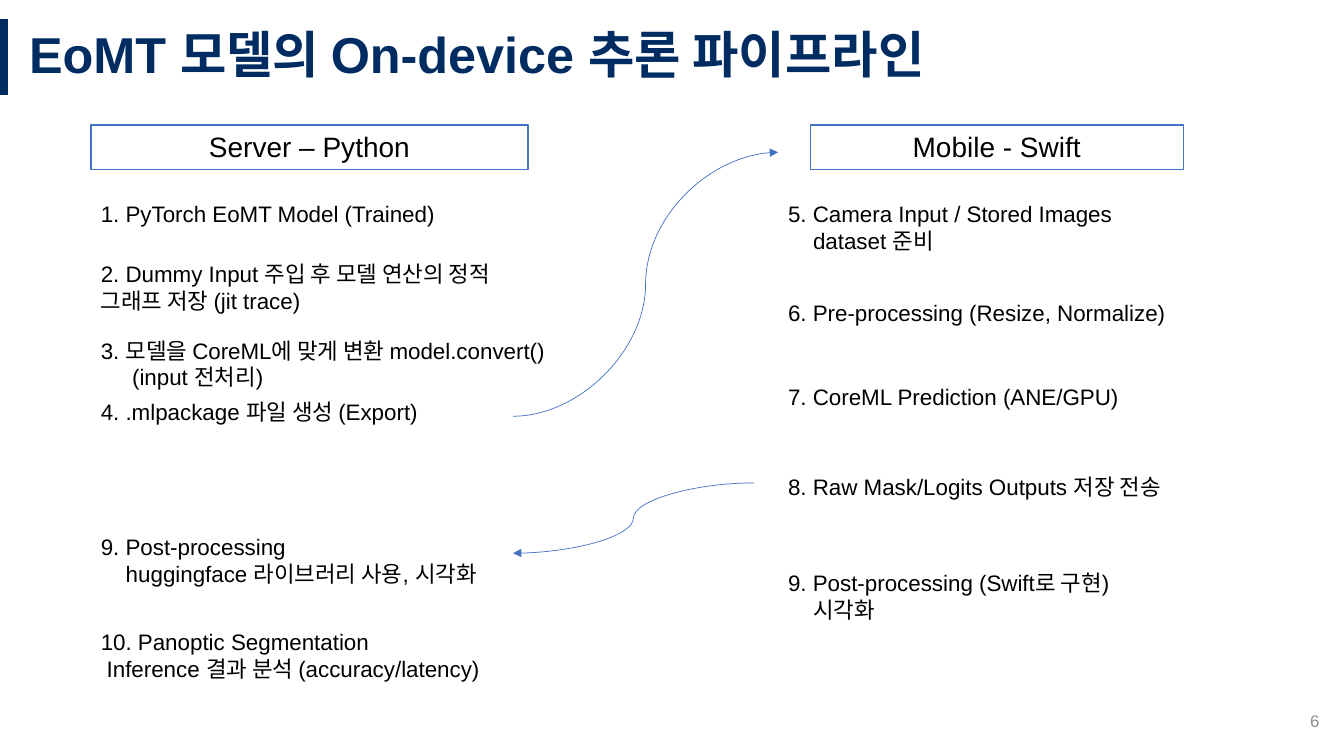
from dataclasses import dataclass
from lxml.etree import SubElement
from pptx import Presentation
from pptx.dml.color import RGBColor
from pptx.enum.shapes import MSO_CONNECTOR, MSO_SHAPE
from pptx.enum.text import MSO_ANCHOR, MSO_AUTO_SIZE, PP_ALIGN
from pptx.oxml.ns import qn
from pptx.util import Cm, Pt


@dataclass(frozen=True)
class Theme:
    font: str = "Arial"
    navy: str = "002C62"
    blue: str = "4472C4"
    black: str = "000000"
    white: str = "FFFFFF"
    gray: str = "8C8C8C"
    title: int = 36
    head: int = 20
    body: int = 16
    foot: int = 12


theme = Theme()


def write(para, text, size, color, bold=False):
    run = para.add_run()
    run.text = text
    run.font.name = theme.font
    run.font.size = Pt(size)
    run.font.bold = bold
    run.font.color.rgb = RGBColor.from_string(color)


def link(kind, start, end, color, width):
    line = slide.shapes.add_connector(kind, *[Cm(v) for v in start + end])
    line.line.color.rgb = RGBColor.from_string(color)
    line.line.width = Pt(width)
    SubElement(line._element.spPr, qn("a:effectLst"))
    return line


deck = Presentation()
deck.slide_width, deck.slide_height = Cm(33.87), Cm(19.05)
slide = deck.slides.add_slide(deck.slide_layouts[5])

link(MSO_CONNECTOR.STRAIGHT, (0.1, 0.48), (0.1, 2.39), theme.navy, 6)

title = slide.shapes.title
title.left, title.top, title.width, title.height = Cm(0.48), Cm(0.48), Cm(33.39), Cm(1.91)
frame = title.text_frame
frame.vertical_anchor = MSO_ANCHOR.MIDDLE
frame.auto_size = MSO_AUTO_SIZE.NONE
para = frame.paragraphs[0]
para.alignment = PP_ALIGN.LEFT
para.line_spacing = 0.9
write(para, "EoMT 모델의 On-device 추론 파이프라인", theme.title, theme.navy, True)

heads = [
    (2.29, 11.02, "Server – Python"),
    (20.42, 9.4, "Mobile - Swift"),
]
for left, width, text in heads:
    box = slide.shapes.add_shape(MSO_SHAPE.RECTANGLE, Cm(left), Cm(3.15), Cm(width), Cm(1.12))
    box.shadow.inherit = False
    box.fill.solid()
    box.fill.fore_color.rgb = RGBColor.from_string(theme.white)
    box.line.color.rgb = RGBColor.from_string(theme.blue)
    box.line.width = Pt(1)
    box.text_frame.vertical_anchor = MSO_ANCHOR.TOP
    para = box.text_frame.paragraphs[0]
    para.alignment = PP_ALIGN.CENTER
    write(para, text, theme.head, theme.black)

server, phone = 2.29, 19.61
steps = [
    (server, 4.93, 11.02, 0, ["1. PyTorch EoMT Model (Trained)"]),
    (server, 6.43, 11.66, 0, ["2. Dummy Input 주입 후 모델 연산의 정적 그래프 저장 (jit trace)"]),
    (server, 8.36, 12.7, 0.79, ["3. 모델을 CoreML에 맞게 변환 model.convert()", "(input 전처리)"]),
    (server, 9.91, 11.02, 0, ["4. .mlpackage 파일 생성 (Export)"]),
    (phone, 4.93, 11.02, 0.63, ["5. Camera Input / Stored Images", "dataset 준비"]),
    (phone, 7.42, 11.02, 0, ["6. Pre-processing (Resize, Normalize)"]),
    (phone, 9.53, 11.02, 0, ["7. CoreML Prediction (ANE/GPU)"]),
    (phone, 11.79, 11.02, 0, ["8. Raw Mask/Logits Outputs 저장 전송"]),
    (phone, 14.22, 11.02, 0.63, ["9. Post-processing (Swift로 구현)", "시각화"]),
    (server, 13.31, 11.02, 0.63, ["9. Post-processing", "huggingface 라이브러리 사용, 시각화"]),
    (server, 15.7, 11.02, 0.15, ["10. Panoptic Segmentation", "Inference 결과 분석 (accuracy/latency)"]),
]
for left, top, width, indent, lines in steps:
    tall = len(lines) > 1 or width == 11.66
    box = slide.shapes.add_textbox(Cm(left), Cm(top), Cm(width), Cm(1.63 if tall else 0.94))
    frame = box.text_frame
    frame.word_wrap = True
    frame.auto_size = MSO_AUTO_SIZE.SHAPE_TO_FIT_TEXT
    for i, text in enumerate(lines):
        para = frame.add_paragraph() if i else frame.paragraphs[0]
        if i:
            para._p.get_or_add_pPr().set("marL", str(Cm(indent)))
        write(para, text, theme.body, theme.black)

for start, end in [((12.93, 10.49), (19.61, 3.84)), ((19, 12.17), (12.93, 13.94))]:
    curve = link(MSO_CONNECTOR.CURVE, start, end, theme.blue, 0.5)
    SubElement(curve.line._get_or_add_ln(), qn("a:tailEnd"), type="triangle")

foot = slide.shapes.add_textbox(Cm(25.88), Cm(17.65), Cm(7.62), Cm(1.02))
foot.text_frame.word_wrap = True
foot.text_frame.vertical_anchor = MSO_ANCHOR.MIDDLE
para = foot.text_frame.paragraphs[0]
para.alignment = PP_ALIGN.RIGHT
write(para, "6", theme.foot, theme.gray)

deck.save("out.pptx")
